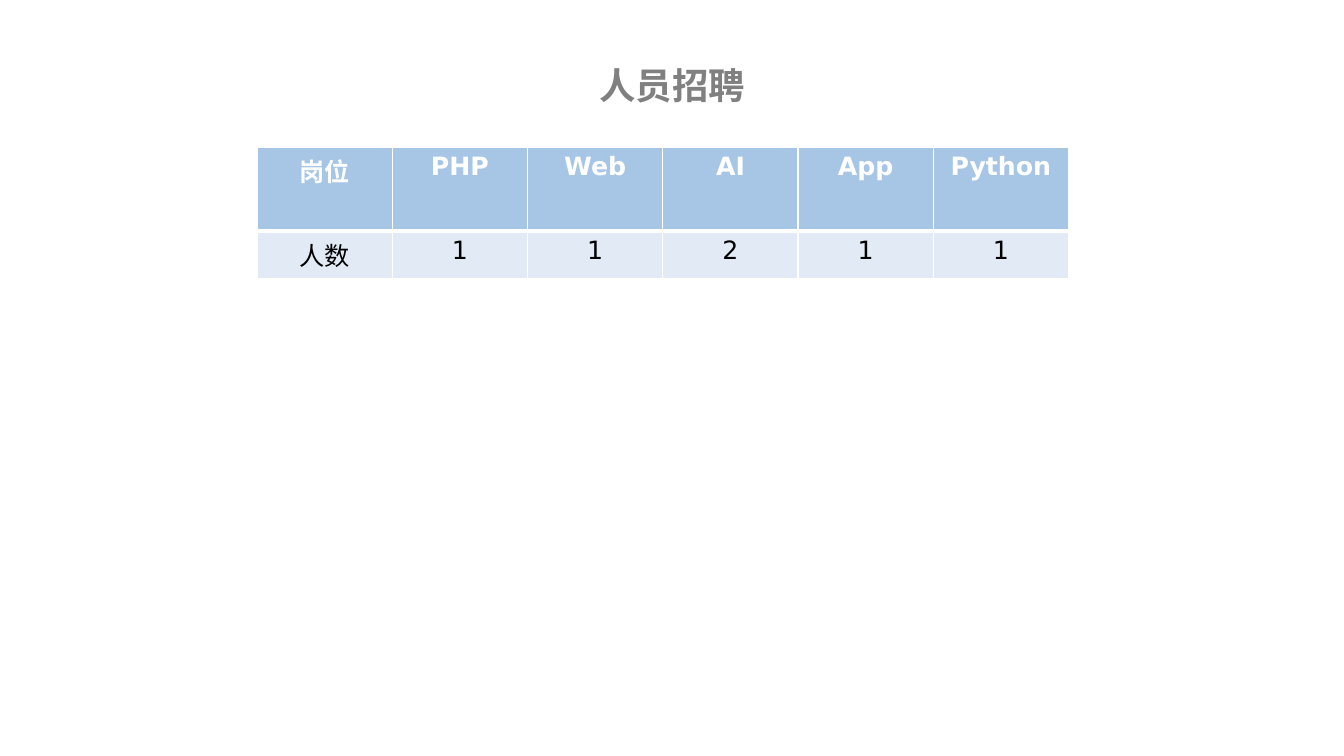
from lxml.etree import SubElement
from pptx import Presentation
from pptx.dml.color import RGBColor
from pptx.enum.text import MSO_ANCHOR, PP_ALIGN
from pptx.oxml import parse_xml
from pptx.oxml.ns import nsdecls, qn
from pptx.util import Inches, Pt

LATIN_FONT = "DejaVu Sans"
CHINESE_FONT = "Noto Sans CJK SC"
WHITE = "FFFFFF"
POSITIONS = ["岗位", "PHP", "Web", "AI", "App", "Python"]
HEADCOUNTS = ["人数", "1", "1", "2", "1", "1"]


def color(hex_string):
    return RGBColor.from_string(hex_string)


def write(text_frame, text, size, font_name, hex_color, bold):
    """Put one centred line of text in a frame."""
    text_frame.text = text
    paragraph = text_frame.paragraphs[0]
    paragraph.alignment = PP_ALIGN.CENTER
    run = paragraph.runs[0]
    run.font.size = Pt(size)
    run.font.bold = bold
    run.font.color.rgb = color(hex_color)
    run.font.name = font_name
    east_asian = SubElement(run.font._element, qn("a:ea"))
    east_asian.set("typeface", CHINESE_FONT)


def set_borders(cell, widths):
    """Draw white borders; widths are points for left, right, top, bottom."""
    properties = cell._tc.get_or_add_tcPr()
    for index, (side, width) in enumerate(zip("LRTB", widths)):
        properties.insert(index, parse_xml(
            f'<a:ln{side} {nsdecls("a")} w="{Pt(width)}"><a:solidFill>'
            f'<a:srgbClr val="{WHITE}"/></a:solidFill></a:ln{side}>'))


def add_title(slide, left, top, width, height):
    text_box = slide.shapes.add_textbox(left, top, width, height)
    text_frame = text_box.text_frame
    text_frame.word_wrap = True
    text_frame.vertical_anchor = MSO_ANCHOR.MIDDLE
    write(text_frame, "人员招聘", 26, CHINESE_FONT, "808080", True)


def add_recruitment_table(slide, left, top, width, height):
    # Fill, text colour, bold, share of the height, border widths
    styles = [("A7C6E5", WHITE, True, 0.64, (1, 1, 1, 3)),
              ("E1EAF5", "000000", False, 0.36, (1, 1, 3, 1))]
    rows = [POSITIONS, HEADCOUNTS]
    table = slide.shapes.add_table(
        len(rows), len(POSITIONS), left, top, width, height).table
    for row_index, (values, style) in enumerate(zip(rows, styles)):
        fill, text_color, bold, share, border_widths = style
        table.rows[row_index].height = int(height * share)
        for column_index, value in enumerate(values):
            cell = table.cell(row_index, column_index)
            cell.fill.solid()
            cell.fill.fore_color.rgb = color(fill)
            set_borders(cell, border_widths)
            write(cell.text_frame, value, 18, LATIN_FONT, text_color, bold)


presentation = Presentation()
presentation.slide_width = Inches(13.33)
presentation.slide_height = Inches(7.5)
slide = presentation.slides.add_slide(presentation.slide_layouts[6])

# Heading above the staffing table
add_title(slide, Inches(0.92), Inches(0.4), Inches(11.5), Inches(0.89))
add_recruitment_table(
    slide, Inches(2.55), Inches(1.46), Inches(8.05), Inches(1.3))

presentation.save("out.pptx")
